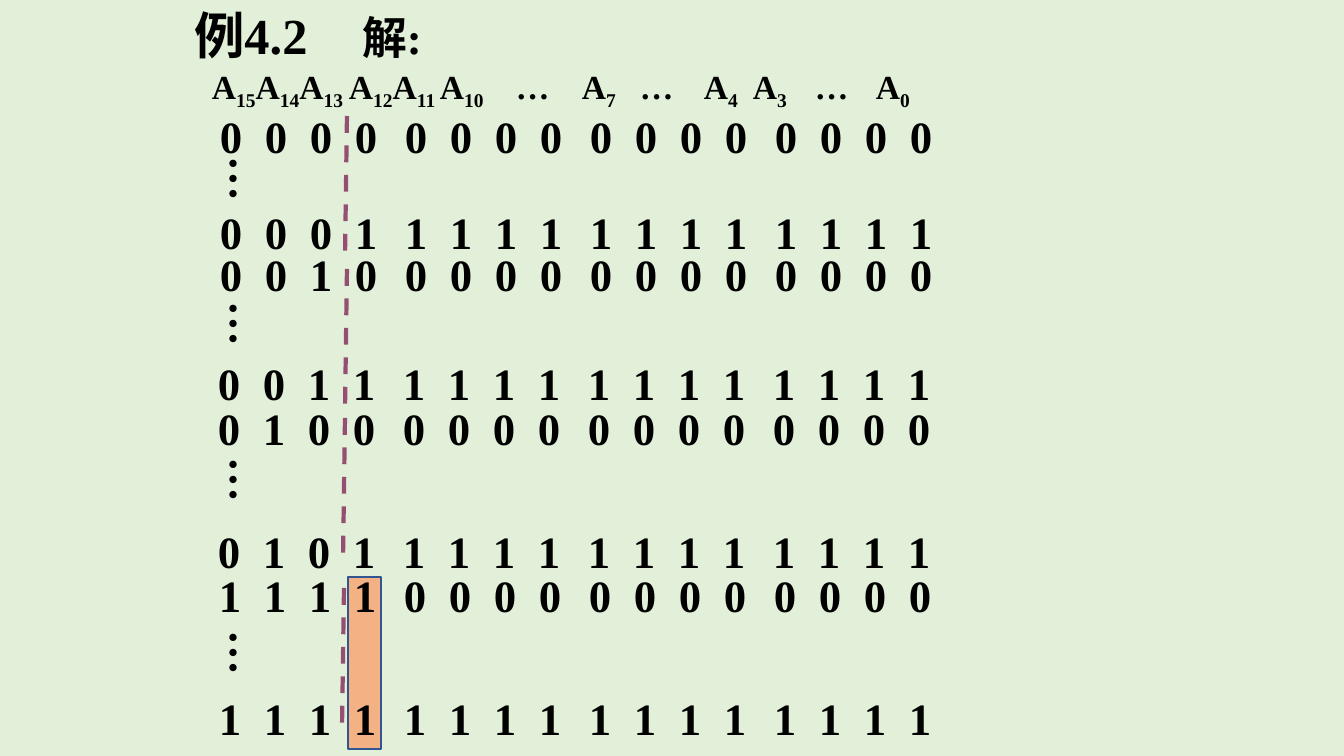
"""Build the address-range solution slide for example 4.2."""
import pptx
import pptx.dml.color
import pptx.enum.dml
import pptx.enum.shapes
import pptx.enum.text
import pptx.oxml
import pptx.oxml.ns
import pptx.util

PX = 914400 / 100.8
THEME = {
    "background": "E2F0D9", "text": "000000", "divider": "954F72",
    "highlight": "F4B183", "highlight_line": "325491",
    "latin": "Times New Roman", "chinese": "Noto Sans CJK SC",
    "title_size": 36, "answer_size": 32, "digit_size": 32, "header_size": 24,
}


def color(name):
    return pptx.dml.color.RGBColor.from_string(THEME[name])


def write(shape, box, pieces, tab_stops=()):
    """Place a shape and fill it with (text, size, font, subscript) runs."""
    shape.left, shape.top, shape.width, shape.height = [round(value * PX) for value in box]
    frame = shape.text_frame
    frame.word_wrap = True
    frame.auto_size = pptx.enum.text.MSO_AUTO_SIZE.NONE
    frame.vertical_anchor = pptx.enum.text.MSO_ANCHOR.TOP
    paragraph = frame.paragraphs[0]
    paragraph.alignment = pptx.enum.text.PP_ALIGN.LEFT
    paragraph.line_spacing = 1.0
    paragraph.space_before = pptx.util.Pt(0)
    if tab_stops:
        tab_list = pptx.oxml.parse_xml(f"<a:tabLst {pptx.oxml.ns.nsdecls('a')}/>")
        for stop in tab_stops:
            tab = tab_list.makeelement(pptx.oxml.ns.qn("a:tab"), {"pos": str(round(stop * PX)), "algn": "l"})
            tab_list.append(tab)
        paragraph._p.get_or_add_pPr().append(tab_list)
    for text, size, font, subscript in pieces:
        run = paragraph.add_run()
        run.text = text
        run.font.size = pptx.util.Pt(THEME[size])
        run.font.name = THEME[font]
        run.font.bold = True
        run.font.color.rgb = color("text")
        properties = run._r.get_or_add_rPr()
        east_asian = properties.makeelement(pptx.oxml.ns.qn("a:ea"), {"typeface": THEME["chinese"]})
        if font == "chinese":
            properties.append(east_asian)
        if subscript:
            properties.set("baseline", "-25000")
    return paragraph


presentation = pptx.Presentation()
presentation.slide_width = round(1344 * PX)
presentation.slide_height = round(756 * PX)
slide = presentation.slides.add_slide(presentation.slide_layouts[5])
slide.background.fill.solid()
slide.background.fill.fore_color.rgb = color("background")

highlight = slide.shapes.add_shape(
    pptx.enum.shapes.MSO_SHAPE.RECTANGLE, *[round(value * PX) for value in (348, 577, 33, 172)])
highlight.shadow.inherit = False
highlight.fill.solid()
highlight.fill.fore_color.rgb = color("highlight")
highlight.line.color.rgb = color("highlight_line")
highlight.line.width = pptx.util.Pt(1)

write(slide.shapes.title, (184, -1, 479, 71), [
    ("例", "title_size", "chinese", False),
    ("4.2\t", "title_size", "latin", False),
    ("解", "answer_size", "chinese", False),
    (":", "answer_size", "latin", False),
], [168])

address_lines = ["A15", "A14", "A13", "\tA12", "A11", "\tA10", "\t…", "\tA7", "\t…", "\tA4", "\tA3", "\t…", "\tA0"]
header_pieces = []
for label in address_lines:
    letter, mark, number = label.partition("A")
    header_pieces.append((letter + mark, "header_size", "latin", False))
    if number:
        header_pieces.append((number, "header_size", "latin", True))
header = slide.shapes.add_textbox(0, 0, 0, 0)
write(header, (202, 61, 865, 50), header_pieces, [137, 228, 304, 370, 428, 492, 541, 603, 664])

DIGIT_PITCH = 45
GROUP_PITCH = 185
address_rows = [
    (210, 104, "0000000000000000"),
    (210, 200, "0001111111111111"),
    (210, 242, "0010000000000000"),
    (208, 351, "0011111111111111"),
    (208, 396, "0100000000000000"),
    (208, 519, "0101111111111111"),
    (209, 563, "1111000000000000"),
    (209, 686, "1111111111111111"),
]
for left, top, bits in address_rows:
    for group in range(4):
        digits = "\t".join(bits[4 * group:4 * group + 4])
        digit_box = slide.shapes.add_textbox(0, 0, 0, 0)
        write(digit_box, (left + group * GROUP_PITCH, top, 202, 64),
              [(digits, "digit_size", "latin", False)],
              [DIGIT_PITCH * step for step in (1, 2, 3)])

for top, height in [(147, 76), (292, 70), (448, 76), (621, 76)]:
    ellipsis = slide.shapes.add_textbox(0, 0, 0, 0)
    paragraph = write(ellipsis, (205, top, 75, height), [("…", "digit_size", "latin", False)])
    paragraph.alignment = pptx.enum.text.PP_ALIGN.CENTER
    ellipsis.text_frame._txBody.bodyPr.set("vert", "eaVert")

for left, top in [(347, 116), (347, 269), (345, 418), (344, 588)]:
    divider = slide.shapes.add_connector(
        pptx.enum.shapes.MSO_CONNECTOR.STRAIGHT,
        *[round(value * PX) for value in (left, top, left - 2, top + 143)])
    divider.line.color.rgb = color("divider")
    divider.line.width = pptx.util.Pt(3)
    divider.line.dash_style = pptx.enum.dml.MSO_LINE.DASH
    divider._element.spPr.append(pptx.oxml.parse_xml(f"<a:effectLst {pptx.oxml.ns.nsdecls('a')}/>"))

presentation.save("out.pptx")
